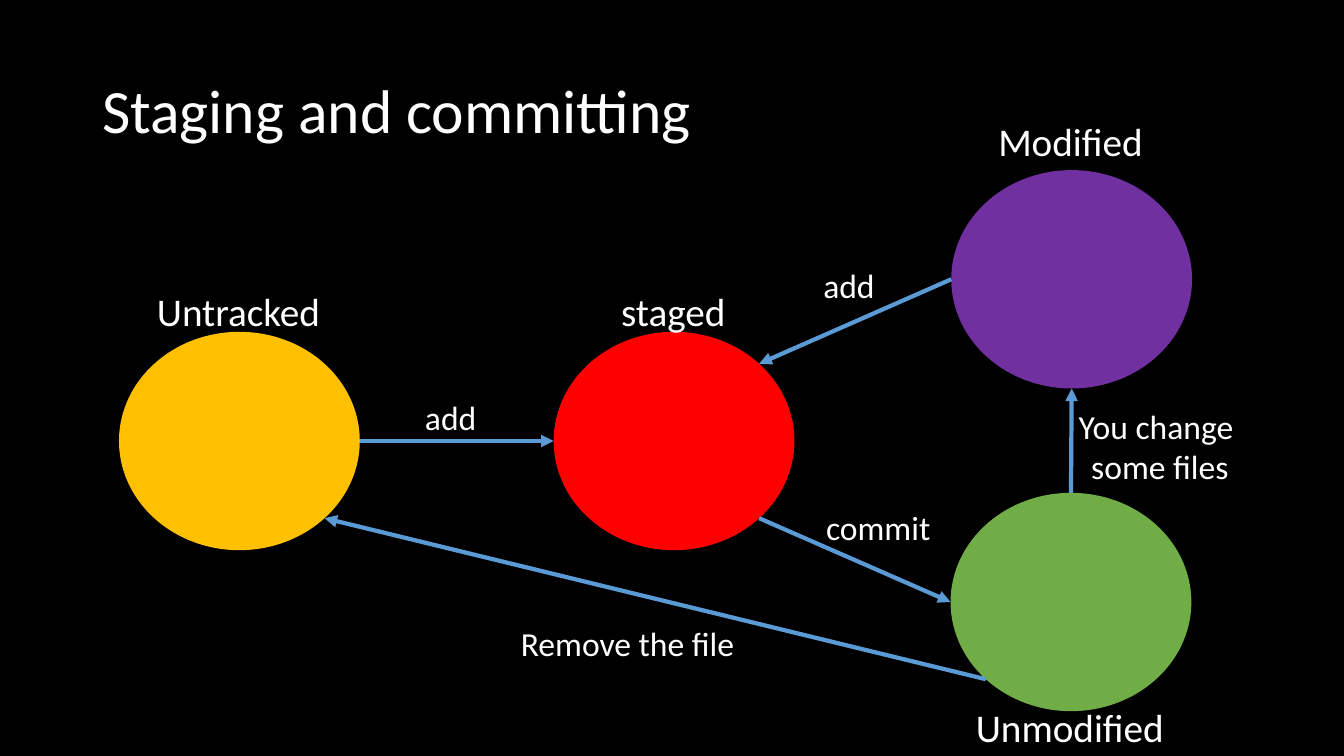
from math import cos, radians, sin

from pptx import Presentation
from pptx.dml.color import RGBColor
from pptx.enum.shapes import MSO_CONNECTOR, MSO_SHAPE
from pptx.enum.text import MSO_ANCHOR, PP_ALIGN
from pptx.oxml.ns import qn
from pptx.util import Pt
from lxml.etree import SubElement

COLORS = {
    "background": "000000",
    "text": "FFFFFF",
    "arrow": "5B9BD5",
    "untracked": "FFC000",
    "staged": "FF0000",
    "modified": "7030A0",
    "unmodified": "70AD47",
}
FONT = "Calibri"
STATE_WIDTH, STATE_HEIGHT = 172, 156
LABEL_HEIGHT = 41
RIGHT, BOTTOM_RIGHT, BOTTOM, BOTTOM_LEFT = 0, 45, 90, 135
LEFT, TOP, TOP_RIGHT = 180, 270, 315

STATES = {
    "untracked": ("Untracked", 85, 237, 132, -35),
    "unmodified": ("Unmodified", 679, 352, 150, 147),
    "modified": ("Modified", 679.5, 121.5, 119, -41),
    "staged": ("staged", 395.5, 237, 90, -35),
}
TRANSITIONS = [
    ("untracked", RIGHT, "staged", LEFT, "add", (296.5, 280, 52, 36)),
    ("staged", BOTTOM_RIGHT, "unmodified", LEFT, "commit", (583, 358.5, 89, 36)),
    ("modified", LEFT, "staged", TOP_RIGHT, "add", (581, 186, 52, 36)),
    ("unmodified", TOP, "modified", BOTTOM, "You change \nsome files", (762.5, 286.5, 132, 65.5)),
    ("unmodified", BOTTOM_LEFT, "untracked", BOTTOM_RIGHT, "Remove the file", (365, 441.5, 168.5, 36)),
]


def color(name):
    """Return the named palette colour."""
    return RGBColor.from_string(COLORS[name])


def add_text(slide, text, box, size=24, align=PP_ALIGN.LEFT, anchor=MSO_ANCHOR.TOP,
             wrap=False, line_spacing=None):
    """Write text, one paragraph per line, in the given box."""
    shape = slide.shapes.add_textbox(*map(Pt, box))
    frame = shape.text_frame
    frame.word_wrap = wrap
    frame.vertical_anchor = anchor
    frame.text = text
    for paragraph in frame.paragraphs:
        paragraph.alignment = align
        paragraph.line_spacing = line_spacing
        font = paragraph.runs[0].font
        font.name, font.size = FONT, Pt(size)
        font.color.rgb = color("text")


def add_title(slide, box):
    """Write the slide title."""
    add_text(slide, "Staging and committing", box, size=44,
             anchor=MSO_ANCHOR.MIDDLE, wrap=True, line_spacing=0.9)


def add_state(slide, name, label, box, label_width, label_offset):
    """Draw a file state as an ellipse with a label centred on it."""
    left, top, width, height = box
    shape = slide.shapes.add_shape(MSO_SHAPE.OVAL, *map(Pt, box))
    shape.shadow.inherit = False
    shape.fill.solid()
    shape.fill.fore_color.rgb = color(name)
    shape.line.fill.background()
    label_left = left + (width - label_width) / 2
    add_text(slide, label, (label_left, top + label_offset, label_width, LABEL_HEIGHT), size=28)


def edge_point(box, angle):
    """Return the point on an ellipse at a clockwise angle from the right."""
    left, top, width, height = box
    turn = radians(angle)
    return Pt(left + width / 2 * (1 + cos(turn))), Pt(top + height / 2 * (1 + sin(turn)))


def add_arrow(slide, start, end):
    """Draw an arrow from start to end."""
    connector = slide.shapes.add_connector(MSO_CONNECTOR.STRAIGHT, *start, *end)
    connector.line.width = Pt(3)
    connector.line.color.rgb = color("arrow")
    line = connector.line._get_or_add_ln()
    SubElement(line, qn("a:tailEnd"), type="triangle")
    SubElement(connector._element.spPr, qn("a:effectLst"))


def add_diagram(slide, box):
    """Draw the file states and the transitions between them."""
    left, top = box[:2]
    places = {}
    for name, (label, x, y, label_width, label_offset) in STATES.items():
        places[name] = (left + x, top + y, STATE_WIDTH, STATE_HEIGHT)
        add_state(slide, name, label, places[name], label_width, label_offset)
    for source, source_angle, target, target_angle, text, (x, y, width, height) in TRANSITIONS:
        add_arrow(slide, edge_point(places[source], source_angle),
                  edge_point(places[target], target_angle))
        align = PP_ALIGN.CENTER if "\n" in text else PP_ALIGN.LEFT
        add_text(slide, text, (left + x, top + y, width, height), align=align)


def main():
    """Build and save the presentation."""
    presentation = Presentation()
    presentation.slide_width, presentation.slide_height = Pt(960), Pt(540)
    slide = presentation.slides.add_slide(presentation.slide_layouts[6])
    slide.background.fill.solid()
    slide.background.fill.fore_color.rgb = color("background")
    add_title(slide, (66, 29, 828, 104))
    add_diagram(slide, (0, 0, 960, 540))
    presentation.save("out.pptx")


if __name__ == "__main__":
    main()
